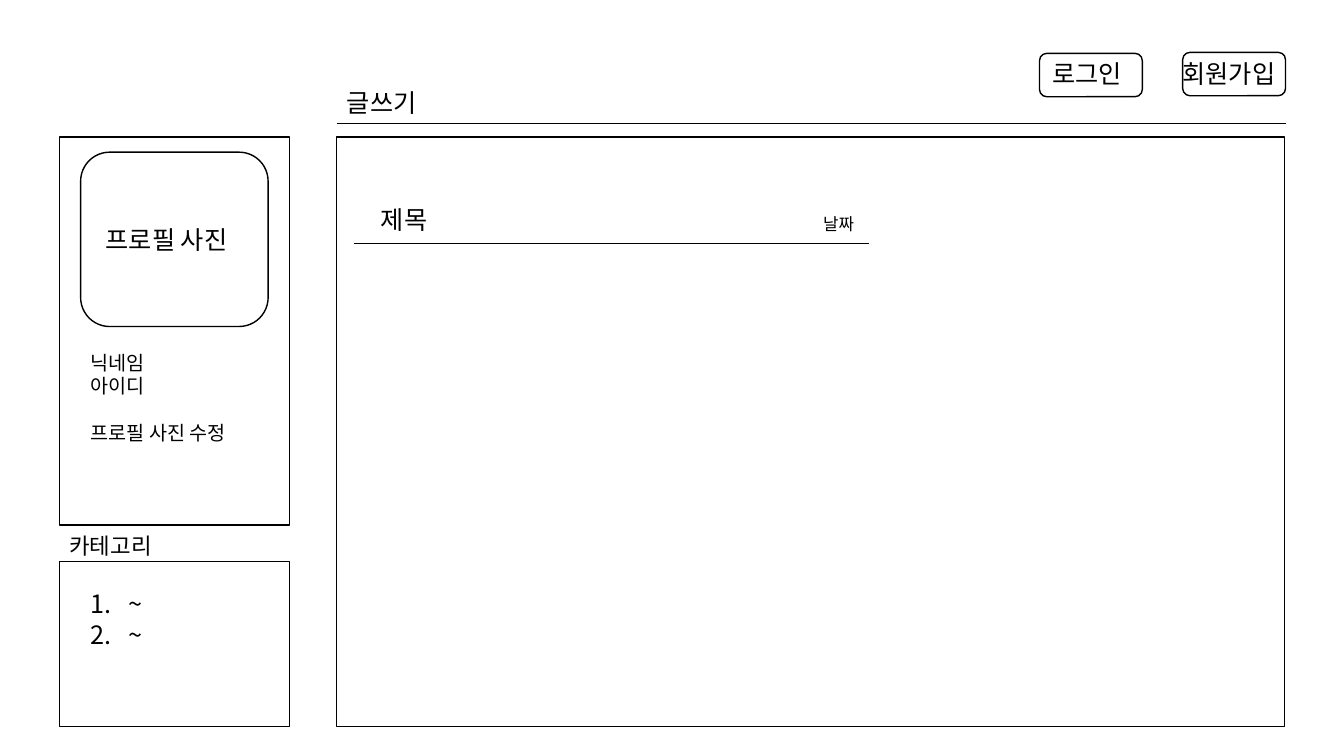
from lxml import etree
from pptx import Presentation
from pptx.dml.color import RGBColor
from pptx.enum import shapes, text
from pptx.oxml.ns import qn
from pptx.util import Inches, Pt

FONT = "Noto Sans CJK KR"
COLORS = {"ink": "000000", "page": "FFFFFF"}
LINE_RATIO = 1.2

SIDE_LEFT, SIDE_WIDTH = 0.59, 2.28
MAIN_LEFT, MAIN_WIDTH = 3.34, 9.4
PANEL_TOP, PANEL_BOTTOM = 1.36, 7.21
CATEGORY_TOP = 5.57
BUTTON_SIZE = (1.02, 0.43)

# left, top, width, height
PANELS = [
    (MAIN_LEFT, PANEL_TOP, MAIN_WIDTH, PANEL_BOTTOM - PANEL_TOP),
    (SIDE_LEFT, PANEL_TOP, SIDE_WIDTH, 3.85),
    (SIDE_LEFT, CATEGORY_TOP, SIDE_WIDTH, PANEL_BOTTOM - CATEGORY_TOP),
]
ROUNDED = [
    (0.8, 1.51, 1.86, 1.73),
    (10.31, 0.53, *BUTTON_SIZE),
    (11.73, 0.52, *BUTTON_SIZE),
]
# left, right, y
RULES = [(MAIN_LEFT, 12.75, 1.22), (3.51, 8.62, 2.41)]

HEADING = ("글쓰기", 18, (MAIN_LEFT, 0.82, 1.05, 0.4))
# wording, size, box
LABELS = [
    ("로그인", 18, (10.34, 0.53, 0.96, 0.4)),
    ("회원가입", 18, (11.63, 0.53, 1.21, 0.4)),
    ("프로필 사진", 18, (0.95, 2.18, 1.55, 0.4)),
    ("카테고리", 16, (SIDE_LEFT, 5.23, 1.19, 0.37)),
    ("제목", 18, (3.68, 1.98, 0.71, 0.4)),
    (" 날짜", 12, (8.03, 2.07, 0.6, 0.3)),
]
PROFILE = ("닉네임\n아이디\n프로필 사진 수정", 14, (0.8, 3.43, 1.71, 1.04))
CATEGORIES = ("~\n~", 18, (0.8, 5.79, 0.76, 0.71))


def color(name):
    return RGBColor.from_string(COLORS[name])


def add_outline(slide, preset, box):
    outline = slide.shapes.add_shape(preset, *map(Inches, box))
    outline.shadow.inherit = False
    outline.fill.background()
    outline.line.color.rgb = color("ink")
    outline.line.width = Pt(1)


def add_rule(slide, left, right, y):
    rule = slide.shapes.add_connector(
        shapes.MSO_CONNECTOR.STRAIGHT, *map(Inches, (left, y, right, y)))
    rule.line.color.rgb = color("ink")
    rule.line.width = Pt(0.5)
    etree.SubElement(rule._element.spPr, qn("a:effectLst"))


def write(holder, wording, size):
    """Fill a text box or placeholder and return its paragraphs."""
    frame = holder.text_frame
    frame.text = wording
    frame.word_wrap = False
    frame.auto_size = text.MSO_AUTO_SIZE.SHAPE_TO_FIT_TEXT
    frame.vertical_anchor = text.MSO_ANCHOR.TOP
    for paragraph in frame.paragraphs:
        paragraph.alignment = text.PP_ALIGN.LEFT
        paragraph.line_spacing = Pt(size * LINE_RATIO)
        paragraph.space_before = Pt(0)
        for run in paragraph.runs:
            run.font.size = Pt(size)
            run.font.name = FONT
            run.font.color.rgb = color("ink")
            east_asian = etree.SubElement(run.font._element, qn("a:ea"))
            east_asian.set("typeface", FONT)
    return frame.paragraphs


def add_label(slide, wording, size, box):
    return write(slide.shapes.add_textbox(*map(Inches, box)), wording, size)


def number(paragraph):
    props = paragraph._p.get_or_add_pPr()
    props.set("marL", str(Inches(0.38)))
    props.set("indent", str(-Inches(0.38)))
    etree.SubElement(props, qn("a:buFont")).set("typeface", FONT)
    etree.SubElement(props, qn("a:buAutoNum")).set("type", "arabicPeriod")


def main():
    prs = Presentation()
    prs.slide_width, prs.slide_height = Inches(13.33), Inches(7.5)
    slide = prs.slides.add_slide(prs.slide_layouts[5])
    slide.background.fill.solid()
    slide.background.fill.fore_color.rgb = color("page")

    for box in PANELS:
        add_outline(slide, shapes.MSO_SHAPE.RECTANGLE, box)
    for box in ROUNDED:
        add_outline(slide, shapes.MSO_SHAPE.ROUNDED_RECTANGLE, box)
    for rule in RULES:
        add_rule(slide, *rule)

    wording, size, box = HEADING
    heading = slide.shapes.title
    heading.left, heading.top, heading.width, heading.height = map(Inches, box)
    write(heading, wording, size)

    for label in LABELS:
        add_label(slide, *label)
    profile_lines = add_label(slide, *PROFILE)
    profile_lines[-1].space_before = Pt(PROFILE[1] * LINE_RATIO)
    for category in add_label(slide, *CATEGORIES):
        number(category)

    prs.save("out.pptx")


if __name__ == "__main__":
    main()
